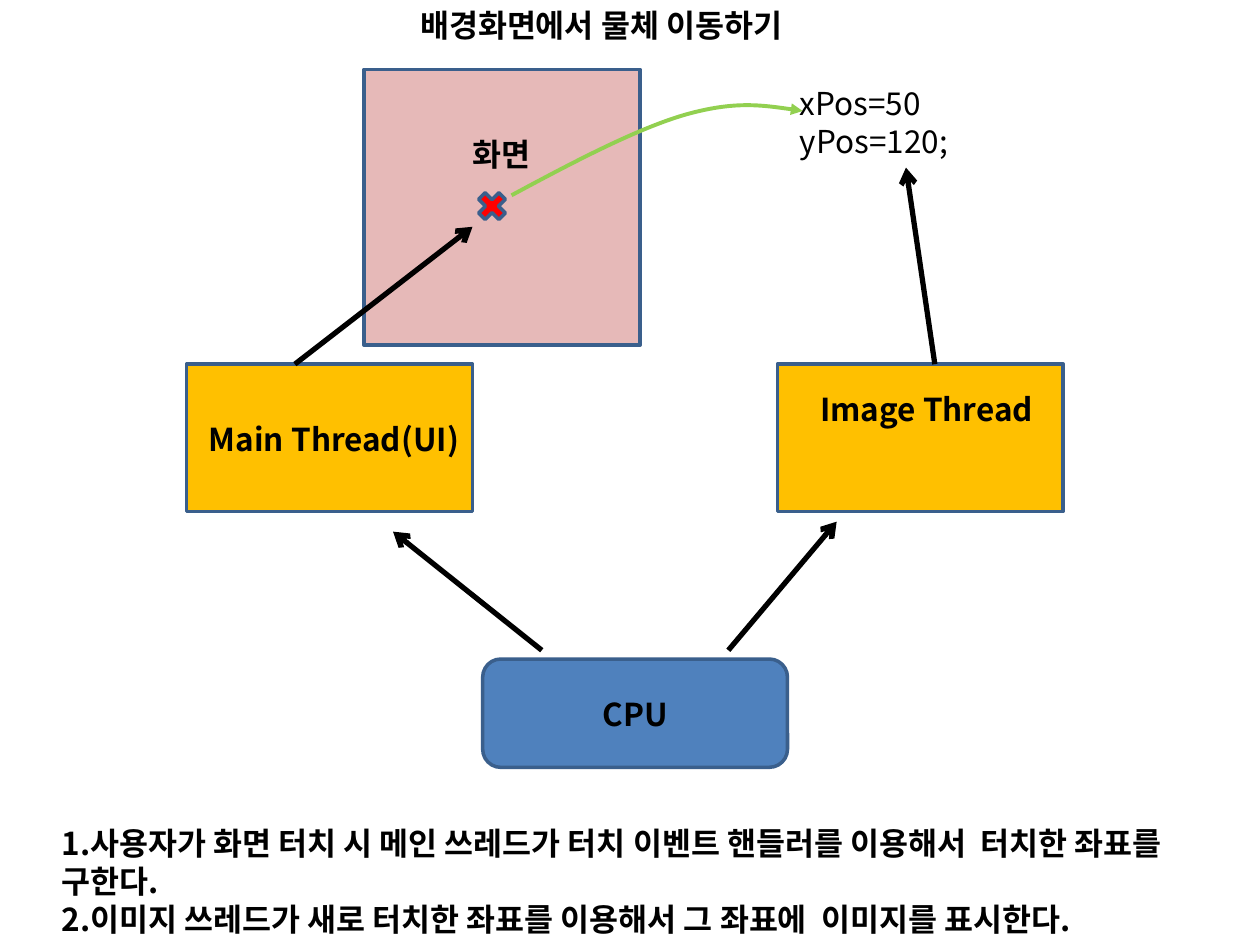
from lxml.etree import SubElement
from pptx import Presentation
from pptx.dml.color import RGBColor
from pptx.enum.shapes import MSO_CONNECTOR, MSO_SHAPE
from pptx.enum.text import MSO_AUTO_SIZE, PP_ALIGN
from pptx.oxml.ns import qn
from pptx.util import Pt

FONT = "Noto Sans CJK KR"
COLORS = {
    "text": "000000",
    "arrow": "000000",
    "outline": "3A5F8C",
    "cpu": "4F81BD",
    "thread": "FFC000",
    "screen": "E6B9B8",
    "touch": "FF0000",
    "curve": "92D050",
}


def rgb(name):
    return RGBColor.from_string(COLORS[name])


def add_text(s, box, lines, align=PP_ALIGN.LEFT, bold=True):
    tf = s.shapes.add_textbox(*map(Pt, box)).text_frame
    tf.word_wrap = True
    tf.auto_size = MSO_AUTO_SIZE.SHAPE_TO_FIT_TEXT
    for i, line in enumerate(lines):
        p = tf.add_paragraph() if i else tf.paragraphs[0]
        p.text = line
        p.alignment = align
        p.font.size = Pt(18)
        p.font.bold = bold
        p.font.color.rgb = rgb("text")
        p.font.name = FONT
        SubElement(p.font._element, qn("a:ea"), typeface=FONT)


def add_block(s, kind, box, fill):
    sp = s.shapes.add_shape(kind, *map(Pt, box))
    sp.shadow.inherit = False
    sp.fill.solid()
    sp.fill.fore_color.rgb = rgb(fill)
    sp.line.color.rgb = rgb("outline")
    sp.line.width = Pt(2)


def set_arrow_line(sp, color, width, head):
    sp.line.color.rgb = rgb(color)
    sp.line.width = Pt(width)
    SubElement(sp.line._get_or_add_ln(), qn("a:tailEnd"), type=head)


def add_arrow(s, x1, y1, x2, y2):
    cx = s.shapes.add_connector(MSO_CONNECTOR.STRAIGHT, *map(Pt, (x1, y1, x2, y2)))
    set_arrow_line(cx, "arrow", 3, "arrow")
    SubElement(cx._element.spPr, qn("a:effectLst"))


def add_curve(s, points):
    start, *rest = [(Pt(x), Pt(y)) for x, y in points]
    builder = s.shapes.build_freeform(*start)
    builder.add_line_segments(rest, close=False)
    sp = builder.convert_to_shape()
    segments = list(sp._element.iter(qn("a:lnTo")))
    for i in range(0, len(segments), 3):
        bezier = SubElement(segments[i].getparent(), qn("a:cubicBezTo"))
        for segment in segments[i:i + 3]:
            bezier.append(segment[0])
            segment.getparent().remove(segment)
    sp.shadow.inherit = False
    sp.fill.background()
    set_arrow_line(sp, "curve", 2.25, "triangle")


def draw_cpu(s, box):
    x, y, w, h = box
    add_block(s, MSO_SHAPE.ROUNDED_RECTANGLE, box, "cpu")
    add_text(s, (x + 5.7, y + 17.3, 163.4, 28.8), ["CPU"], PP_ALIGN.CENTER)
    add_arrow(s, x + 33.8, y - 5, x - 51.2, y - 72.8)
    add_arrow(s, x + 140.4, y - 5, x + 202.3, y - 78.5)


def draw_thread(s, box, name, label_offset, arrow_x, target_offset):
    x, y, w, h = box
    dx, dy = label_offset
    tx, ty = target_offset
    add_block(s, MSO_SHAPE.RECTANGLE, box, "thread")
    add_text(s, (x + dx, y + dy, 174.2, 28.8), [name])
    add_arrow(s, x + arrow_x, y, x + tx, y + ty)


def draw_screen(s, box):
    x, y, w, h = box
    add_block(s, MSO_SHAPE.RECTANGLE, box, "screen")
    add_text(s, (x - 5.8, y + 33.8, w + 10.8, 28.8), ["화면"], PP_ALIGN.CENTER)
    add_block(s, MSO_SHAPE.MATH_MULTIPLY, (x + 61.9, y + 67, 22.3, 22.3), "touch")


def draw_position(s, box):
    x, y, w, h = box
    add_text(s, box, ["xPos=50", "yPos=120;"], bold=False)
    offsets = [(-157.7, 67), (-121.7, 47.6), (-85.7, 28.8), (-58.3, 20.9),
               (-30.2, 13), (-10.8, 15.9), (8.6, 18.8)]
    add_curve(s, [(x + dx, y + dy) for dx, dy in offsets])


def draw_title(s, box):
    add_text(s, box, ["배경화면에서 물체 이동하기"], PP_ALIGN.CENTER)


def draw_steps(s, box):
    add_text(s, box, [
        "1.사용자가 화면 터치 시 메인 쓰레드가 터치 이벤트 핸들러를 이용해서  터치한 좌표를 구한다.",
        "2.이미지 쓰레드가 새로 터치한 좌표를 이용해서 그 좌표에  이미지를 표시한다.",
    ])


def main():
    prs = Presentation()
    prs.slide_width, prs.slide_height = Pt(720), Pt(540)
    s = prs.slides.add_slide(prs.slide_layouts[6])
    draw_title(s, (101.5, 0, 484, 28.8))
    draw_cpu(s, (275.8, 376.6, 174.2, 61.9))
    draw_screen(s, (208.1, 39.6, 157.7, 157.7))
    draw_thread(s, (106.6, 208.1, 163.4, 84.2), "Main Thread(UI)",
                (5.7, 28.1), 61.9, (163.4, -78.5))
    draw_thread(s, (444.2, 208.1, 163.4, 84.2), "Image Thread",
                (17.3, 11.5), 90, (73.5, -112.3))
    draw_position(s, (450, 44.6, 253.4, 51.1))
    draw_steps(s, (28.1, 467.3, 691.9, 72.7))
    prs.save("out.pptx")


if __name__ == "__main__":
    main()
